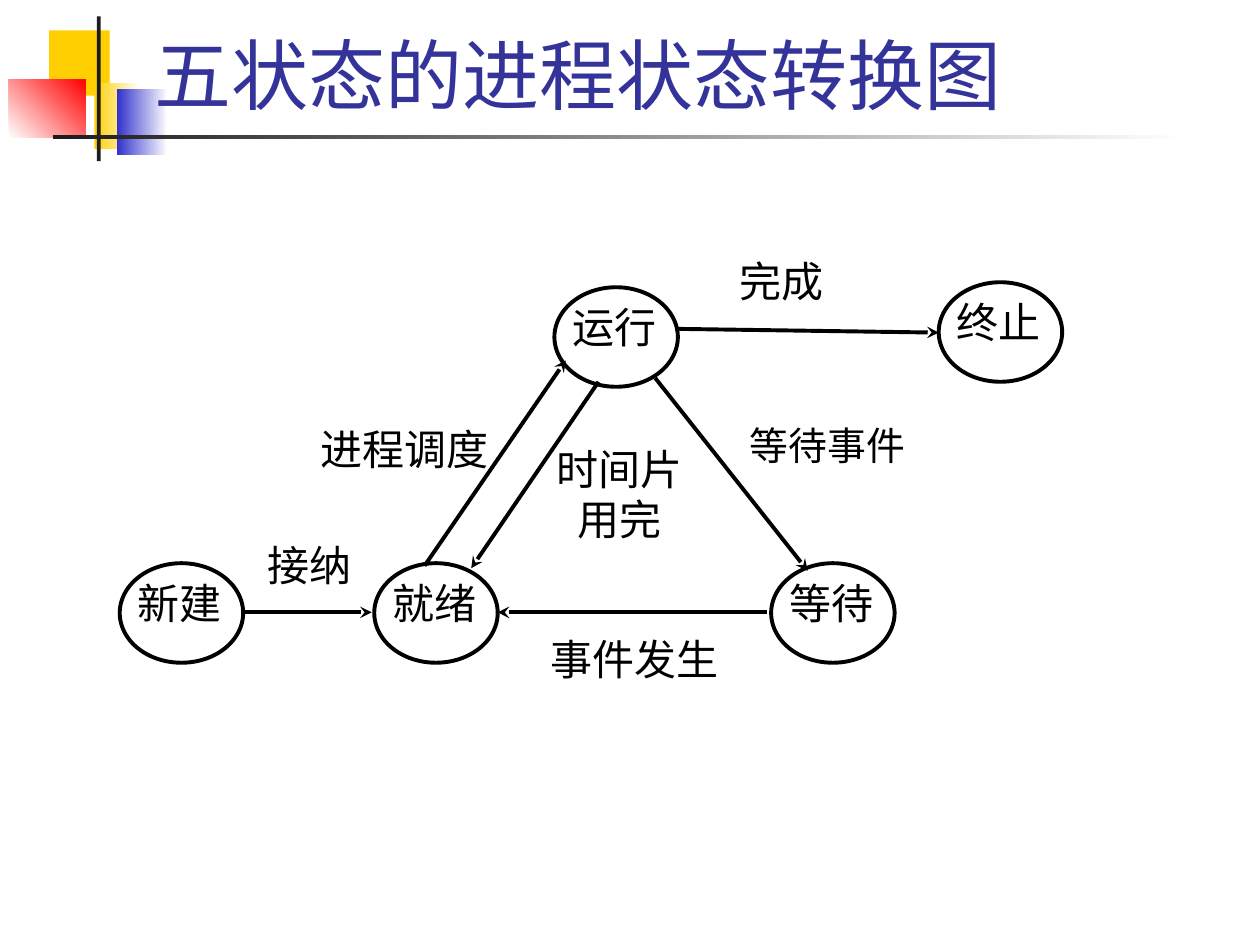
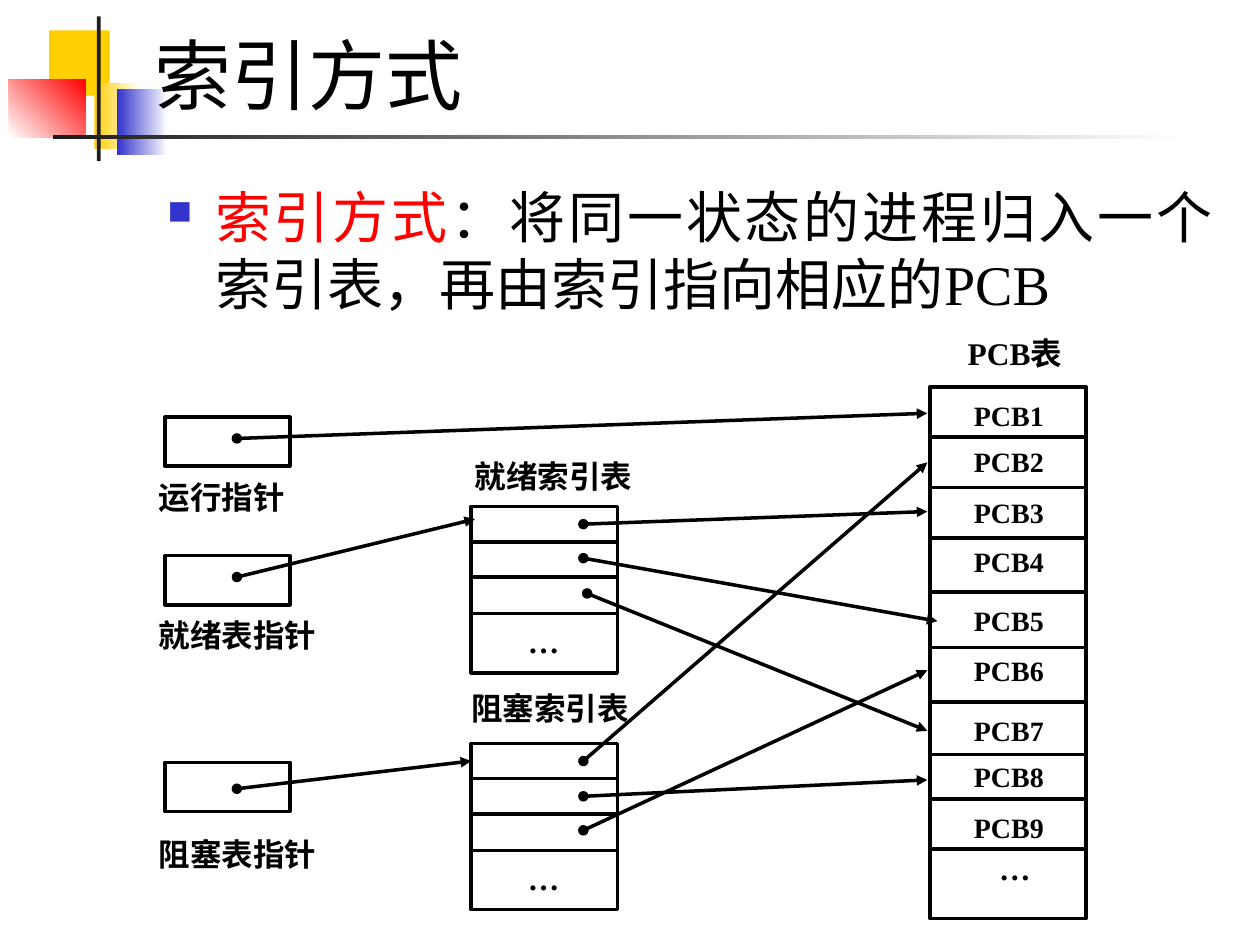
"""Build two slides on process states and the index organisation of PCBs."""
from lxml.etree import SubElement
from pptx import Presentation
from pptx.dml.color import RGBColor
from pptx.enum.shapes import MSO_CONNECTOR, MSO_SHAPE
from pptx.enum.text import MSO_ANCHOR, MSO_AUTO_SIZE, PP_ALIGN
from pptx.oxml.ns import qn
from pptx.util import Inches, Pt

BLACK = RGBColor(0x00, 0x00, 0x00)
WHITE = RGBColor(0xFF, 0xFF, 0xFF)
CHARCOAL = RGBColor(0x1C, 0x1C, 0x1C)
YELLOW = RGBColor(0xFF, 0xCF, 0x01)
BLUE = RGBColor(0x33, 0x33, 0xCC)
TITLE_BLUE = RGBColor(0x33, 0x33, 0x99)
RED = RGBColor(0xFF, 0x00, 0x00)

SERIF = "Times New Roman"
SANS = "Roboto"

DECORATIONS = [
    ((0.39, 0.24, 0.48, 0.52), (YELLOW,), 0),
    ((0.75, 0.66, 0.36, 0.52), (YELLOW, WHITE), 0),
    ((0.93, 0.71, 0.4, 0.52), (BLUE, WHITE), 0),
    ((0.07, 0.63, 0.61, 0.46), (WHITE, RED), 45),
    ((0.77, 0.13, 0.03, 1.15), (CHARCOAL,), 0),
    ((0.42, 1.07, 9, 0.03), (CHARCOAL, WHITE), 0),
]

STATE_SIZE = (0.98, 0.79)
STATES = [
    ("新建", 0.95, 4.47),
    ("就绪", 2.97, 4.47),
    ("等待", 6.12, 4.47),
    ("运行", 4.4, 2.28),
    ("终止", 7.45, 2.24),
]
TRANSITIONS = [
    ((1.91, 4.86), (2.95, 4.86)),
    ((3.37, 4.49), (4.49, 2.86)),
    ((4.75, 3.03), (3.74, 4.51)),
    ((5.2, 3), (6.41, 4.53)),
    ((6.09, 4.86), (3.95, 4.86)),
    ((5.36, 2.61), (7.45, 2.64)),
]
TRANSITION_LABELS = [
    ("接纳", (2.12, 4.28, 0.75, 0.42)),
    ("进程调度", (2.54, 3.36, 1.42, 0.48)),
    ("事件发生", (4.37, 5.03, 1.51, 0.5)),
    ("完成", (5.87, 2.03, 0.75, 0.42)),
]

POINTERS = [
    ("运行指针", 3.31, 3.79),
    ("就绪表指针", 4.41, 4.89),
    ("阻塞表指针", 6.05, 6.63),
]
INDEX_LEFT, INDEX_WIDTH, INDEX_HEIGHT = 3.74, 1.16, 1.32
INDEX_DIVIDERS = (0.28, 0.56, 0.85)
PCB_LEFT, PCB_WIDTH = 7.38, 1.24
PCB_DIVIDERS = (3.47, 3.87, 4.27, 4.7, 5.14, 5.57, 5.99, 6.34, 6.74)
PCB_LABEL_TOPS = (3.16, 3.53, 3.93, 4.32, 4.79, 5.19, 5.66, 6.03, 6.43)
REFERENCES = [
    ((1.88, 3.48), (7.36, 3.28)),
    ((1.88, 4.58), (3.77, 4.12)),
    ((1.88, 6.26), (3.74, 6.04)),
    ((4.63, 4.16), (7.36, 4.06)),
    ((4.63, 4.43), (7.44, 4.93)),
    ((4.66, 4.71), (7.36, 5.8)),
    ((4.63, 6.04), (7.36, 3.67)),
    ((4.63, 6.32), (7.36, 6.19)),
    ((4.63, 6.59), (7.36, 5.32)),
]


def add_run(paragraph, text, size, color=BLACK, font=SERIF, bold=False):
    """Append one formatted run to a paragraph."""
    run = paragraph.add_run()
    run.text = text
    run.font.size = Pt(size)
    run.font.name = font
    run.font.bold = bold
    run.font.color.rgb = color


def write_text(shape, text, size, bold=False, alignment=PP_ALIGN.JUSTIFY):
    """Write one paragraph into a shape without margins."""
    frame = shape.text_frame
    frame.word_wrap = True
    frame.vertical_anchor = MSO_ANCHOR.TOP
    frame.margin_left = frame.margin_right = 0
    frame.margin_top = frame.margin_bottom = 0
    paragraph = frame.paragraphs[0]
    paragraph.alignment = alignment
    add_run(paragraph, text, size, bold=bold)
    return paragraph


def add_label(slide, text, box, size, **style):
    """Add a text box and return its paragraph."""
    label = slide.shapes.add_textbox(*map(Inches, box))
    return write_text(label, text, size, **style)


def add_outlined(slide, kind, box, width):
    """Add a white shape with a black outline."""
    shape = slide.shapes.add_shape(kind, *map(Inches, box))
    shape.shadow.inherit = False
    shape.fill.solid()
    shape.fill.fore_color.rgb = WHITE
    shape.line.color.rgb = BLACK
    shape.line.width = Pt(width)
    return shape


def add_line(slide, start, end, width, head=None, tail=None):
    """Add a straight black line with optional end marks."""
    line = slide.shapes.add_connector(
        MSO_CONNECTOR.STRAIGHT, *map(Inches, (*start, *end)))
    line.line.color.rgb = BLACK
    line.line.width = Pt(width)
    outline = line.line._get_or_add_ln()
    for tag, mark in (("a:headEnd", head), ("a:tailEnd", tail)):
        if mark:
            SubElement(outline, qn(tag), type=mark)
    SubElement(line.element.spPr, qn("a:effectLst"))


def add_dividers(slide, left, width, tops):
    """Draw the horizontal lines between the rows of a box."""
    for top in tops:
        add_line(slide, (left, top), (left + width, top), 2)


def decorate_layout(layout, slide):
    """Place the coloured squares and rules behind the layout's title."""
    title = layout.placeholders[0].element
    for number, (box, colors, angle) in enumerate(DECORATIONS, start=101):
        shape = slide.shapes.add_shape(MSO_SHAPE.RECTANGLE, *map(Inches, box))
        shape.shadow.inherit = False
        shape.line.fill.background()
        if len(colors) == 1:
            shape.fill.solid()
            shape.fill.fore_color.rgb = colors[0]
        else:
            shape.fill.gradient()
            shape.fill.gradient_angle = angle
            for stop, color in zip(shape.fill.gradient_stops, colors):
                stop.color.rgb = color
        shape.element.nvSpPr.cNvPr.set("id", str(number))
        title.addprevious(shape.element)


def set_title(slide, text, color, font):
    """Place and format the slide title."""
    title = slide.shapes.title
    title.left, title.top, title.width, title.height = map(
        Inches, (1.13, 0.14, 8.52, 0.86))
    frame = title.text_frame
    frame.auto_size = MSO_AUTO_SIZE.NONE
    frame.vertical_anchor = MSO_ANCHOR.BOTTOM
    paragraph = frame.paragraphs[0]
    paragraph.alignment = PP_ALIGN.LEFT
    add_run(paragraph, text, 44, color, font)


def add_definition(slide, term, explanation):
    """Add the bulleted definition with its term in red."""
    box = slide.shapes.add_textbox(*map(Inches, (1.23, 1.4, 8.5, 1.44)))
    box.text_frame.word_wrap = True
    paragraph = box.text_frame.paragraphs[0]
    paragraph.alignment = PP_ALIGN.JUSTIFY
    properties = paragraph._p.get_or_add_pPr()
    properties.set("marL", str(Inches(0.38)))
    properties.set("indent", str(-Inches(0.38)))
    bullet_color = SubElement(properties, qn("a:buClr"))
    SubElement(bullet_color, qn("a:srgbClr"), val=str(BLUE))
    SubElement(properties, qn("a:buSzPct"), val="60000")
    SubElement(properties, qn("a:buChar"), char="■")
    add_run(paragraph, term, 32, RED)
    add_run(paragraph, explanation, 32)


def add_index_table(slide, name, name_box, top):
    """Add a named index table with three entries and an ellipsis."""
    add_label(slide, name, name_box, 18, bold=True)
    add_outlined(slide, MSO_SHAPE.RECTANGLE,
                 (INDEX_LEFT, top, INDEX_WIDTH, INDEX_HEIGHT), 2)
    add_dividers(slide, INDEX_LEFT, INDEX_WIDTH,
                 [top + offset for offset in INDEX_DIVIDERS])
    add_label(slide, "…", (4.19, top + 0.92, 0.42, 0.32), 18, bold=True)


def add_pcb_table(slide):
    """Add the PCB table with its heading and row labels."""
    add_label(slide, "PCB表", (7.68, 2.65, 0.94, 0.36), 18, bold=True)
    add_outlined(slide, MSO_SHAPE.RECTANGLE,
                 (PCB_LEFT, 3.07, PCB_WIDTH, 4.22), 2)
    add_dividers(slide, PCB_LEFT, PCB_WIDTH, PCB_DIVIDERS)
    for number, top in enumerate(PCB_LABEL_TOPS, start=1):
        add_label(slide, f"PCB{number}", (7.73, top, 0.82, 0.32), 16, bold=True)
    add_label(slide, "…", (7.93, 6.74, 0.42, 0.32), 18, bold=True)


def build_state_slide(slide):
    """Draw the five-state transition diagram."""
    set_title(slide, "五状态的进程状态转换图", TITLE_BLUE, SANS)
    for name, left, top in STATES:
        state = add_outlined(slide, MSO_SHAPE.OVAL,
                             (left, top, *STATE_SIZE), 2.25)
        write_text(state, name, 24)
    for start, end in TRANSITIONS:
        add_line(slide, start, end, 2.25, tail="stealth")
    for text, box in TRANSITION_LABELS:
        add_label(slide, text, box, 24)
    add_label(slide, "时间片用完", (4.39, 3.52, 1.06, 0.85), 24,
              alignment=PP_ALIGN.CENTER)
    waiting = add_label(slide, "等待事件", (5.95, 3.39, 1.49, 0.39), 22.2)
    waiting.line_spacing = 0.9


def build_index_slide(slide):
    """Draw the pointers, index tables and PCB table."""
    set_title(slide, "索引方式", BLACK, SERIF)
    add_definition(slide, "索引方式",
                   "：将同一状态的进程归入一个索引表，再由索引指向相应的PCB")
    for name, box_top, name_top in POINTERS:
        add_outlined(slide, MSO_SHAPE.RECTANGLE, (1.31, box_top, 0.99, 0.39), 2)
        add_label(slide, name, (1.26, name_top, 1.41, 0.35), 18, bold=True)
    add_index_table(slide, "就绪索引表", (3.77, 3.63, 1.47, 0.36), 4.02)
    add_index_table(slide, "阻塞索引表", (3.74, 5.47, 1.42, 0.35), 5.9)
    add_pcb_table(slide)
    for start, end in REFERENCES:
        add_line(slide, start, end, 2, head="oval", tail="triangle")


def main():
    """Create the presentation and save it."""
    presentation = Presentation()
    presentation.slide_width = Inches(10)
    presentation.slide_height = Inches(7.5)
    layout = presentation.slide_layouts.get_by_name("Title Only")
    state_slide = presentation.slides.add_slide(layout)
    decorate_layout(layout, state_slide)
    build_state_slide(state_slide)
    build_index_slide(presentation.slides.add_slide(layout))
    presentation.save("out.pptx")


if __name__ == "__main__":
    main()
